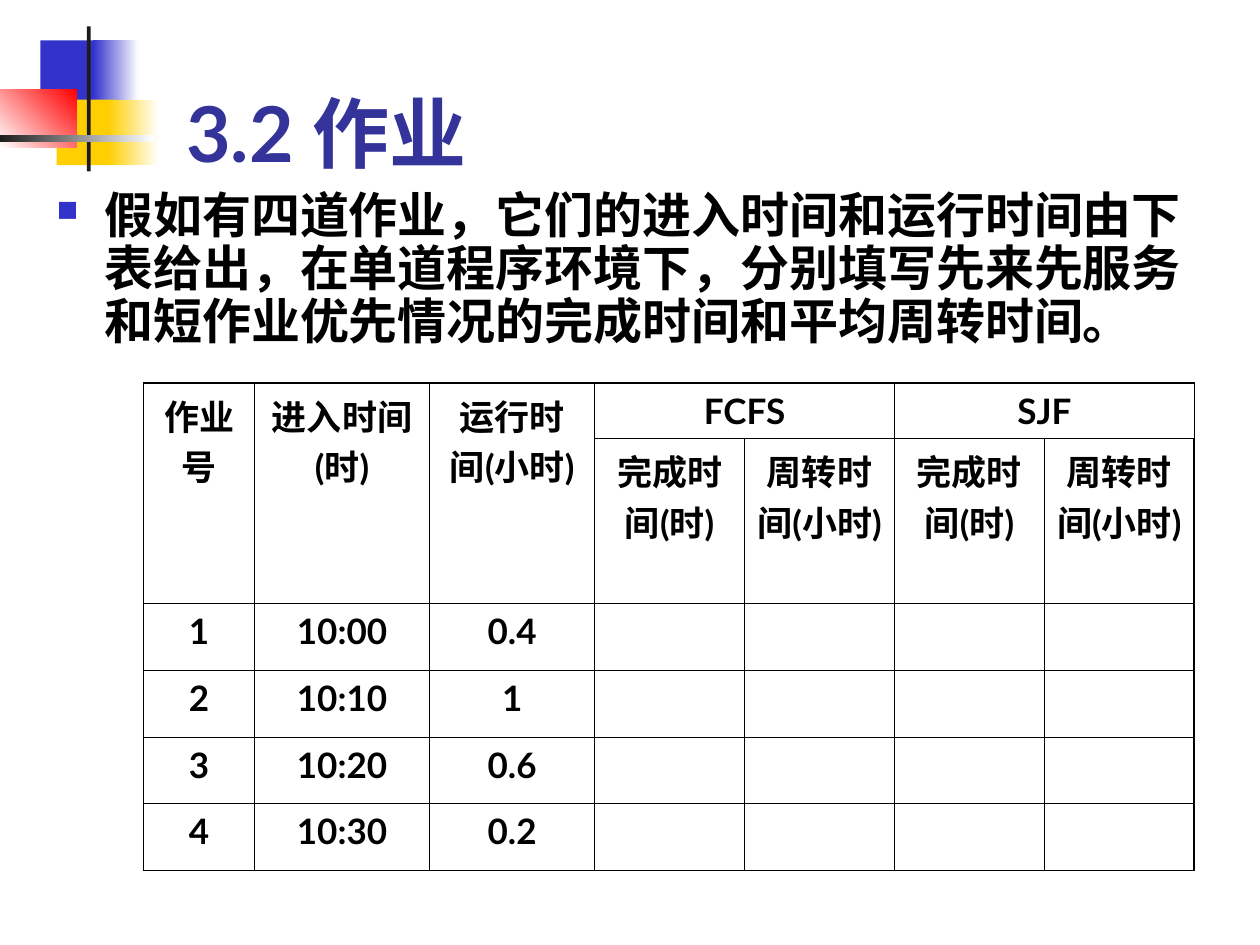
from lxml import etree
from pptx import Presentation
from pptx.dml.color import RGBColor
from pptx.enum.shapes import MSO_SHAPE
from pptx.enum.text import MSO_ANCHOR, PP_ALIGN
from pptx.oxml.ns import qn
from pptx.util import Inches, Pt

RECTANGLE = MSO_SHAPE.RECTANGLE
CENTER = PP_ALIGN.CENTER
BOTTOM = MSO_ANCHOR.BOTTOM

FONT = "Lato"
BLACK, WHITE, INK = "000000", "FFFFFF", "1C1C1C"
BLUE, YELLOW, RED, TITLE_BLUE = "3333CC", "FFCF01", "FF0000", "333399"

TITLE = "3.2 作业"
QUESTION = ("假如有四道作业，它们的进入时间和运行时间由下表给出，在单道程序环境下，"
            "分别填写先来先服务和短作业优先情况的完成时间和平均周转时间。")
JOB_HEADERS = ["作业号", "进入时间(时)", "运行时间(小时)"]
POLICIES = ["FCFS", "SJF"]
RESULT_HEADERS = ["完成时间(时)", "周转时间(小时)"]
JOBS = [("1", "10:00", "0.4"), ("2", "10:10", "1"),
        ("3", "10:20", "0.6"), ("4", "10:30", "0.2")]

# left, top, width, height, colours (two make a gradient), gradient angle
ORNAMENT = [
    (0.32, 0.32, 0.48, 0.52, [BLUE], 0),
    (0.74, 0.32, 0.36, 0.52, [BLUE, WHITE], 0),
    (0.45, 0.79, 0.46, 0.52, [YELLOW], 0),
    (0.86, 0.79, 0.40, 0.52, [YELLOW, WHITE], 0),
    (0, 0.71, 0.61, 0.46, [WHITE, RED], 45),
    (0.69, 0.21, 0.03, 1.15, [INK], 0),
    (0, 1.07, 1.22, 0.06, [INK, WHITE], 0),
]
COLUMN_WIDTHS = [0.88, 1.39, 1.31] + [1.19] * 4
ROW_HEIGHTS = [0.44, 1.31] + [0.53] * len(JOBS)
THIN, THICK = 0.45, 1.08


def rgb(value):
    return RGBColor.from_string(value)


def style(paragraph, size, color):
    for run in paragraph.runs:
        run.font.name = FONT
        run.font.size = Pt(size)
        run.font.bold = True
        run.font.color.rgb = rgb(color)


def add_block(slide, left, top, width, height, colors, angle):
    block = slide.shapes.add_shape(RECTANGLE, *map(Inches, (left, top, width, height)))
    block.shadow.inherit = False
    block.line.fill.background()
    if len(colors) == 1:
        block.fill.solid()
        block.fill.fore_color.rgb = rgb(colors[0])
        return
    block.fill.gradient()
    block.fill.gradient_angle = angle
    for stop, color, position in zip(block.fill.gradient_stops, colors, (0, 1)):
        stop.color.rgb = rgb(color)
        stop.position = position


def add_text(slide, box, text, size, color):
    frame = slide.shapes.add_textbox(*map(Inches, box)).text_frame
    frame.word_wrap = True
    frame.text = text
    style(frame.paragraphs[0], size, color)
    return frame


def add_square_bullet(paragraph):
    props = paragraph._p.get_or_add_pPr()
    props.set("marL", str(Inches(0.38)))
    props.set("indent", str(-Inches(0.38)))
    bullet_color = etree.SubElement(props, qn("a:buClr"))
    etree.SubElement(bullet_color, qn("a:srgbClr"), val=BLUE)
    etree.SubElement(props, qn("a:buSzPct"), val="60000")
    etree.SubElement(props, qn("a:buChar"), char="■")


def set_borders(cell, widths):
    """Draw left, right, top and bottom borders, in that order."""
    props = cell._tc.get_or_add_tcPr()
    for side, width in zip("LRTB", widths):
        line = etree.SubElement(props, qn(f"a:ln{side}"), w=str(Pt(width)))
        fill = etree.SubElement(line, qn("a:solidFill"))
        etree.SubElement(fill, qn("a:srgbClr"), val=BLACK)


def add_job_table(slide):
    blanks = [""] * (len(POLICIES) * len(RESULT_HEADERS))
    span = len(RESULT_HEADERS)
    first_result = len(JOB_HEADERS)
    policy_row = [text for name in POLICIES for text in [name] + [""] * (span - 1)]
    rows = [JOB_HEADERS + policy_row,
            [""] * first_result + RESULT_HEADERS * len(POLICIES)]
    rows += [list(job) + blanks for job in JOBS]

    last_row, last_col = len(rows) - 1, len(COLUMN_WIDTHS) - 1
    table = slide.shapes.add_table(
        len(rows), len(COLUMN_WIDTHS), Inches(1.14), Inches(3.04),
        Inches(sum(COLUMN_WIDTHS)), Inches(sum(ROW_HEIGHTS))).table
    table.first_row = table.horz_banding = False
    for column, width in zip(table.columns, COLUMN_WIDTHS):
        column.width = Inches(width)
    for row, height in zip(table.rows, ROW_HEIGHTS):
        row.height = Inches(height)

    for r, texts in enumerate(rows):
        for c, text in enumerate(texts):
            cell = table.cell(r, c)
            outer = (c == 0, c == last_col, r == 0, r == last_row)
            set_borders(cell, [THICK if edge else THIN for edge in outer])
            cell.fill.background()
            cell.text = text
            paragraph = cell.text_frame.paragraphs[0]
            paragraph.alignment = CENTER
            style(paragraph, 20, BLACK)

    for c in range(first_result):
        table.cell(0, c).merge(table.cell(1, c))
    for c in range(first_result, last_col, span):
        table.cell(0, c).merge(table.cell(0, c + span - 1))


def main():
    deck = Presentation()
    deck.slide_width, deck.slide_height = Inches(10), Inches(7.5)
    slide = deck.slides.add_slide(deck.slide_layouts[6])

    for block in ORNAMENT:
        add_block(slide, *block)

    title = add_text(slide, (1.38, 0.21, 9.34, 1.25), TITLE, 44, TITLE_BLUE)
    title.vertical_anchor = BOTTOM

    question = add_text(slide, (0.35, 1.47, 9.39, 1.43), QUESTION, 28, BLACK).paragraphs[0]
    question.line_spacing = 0.9
    add_square_bullet(question)

    add_job_table(slide)
    deck.save("out.pptx")


if __name__ == "__main__":
    main()
